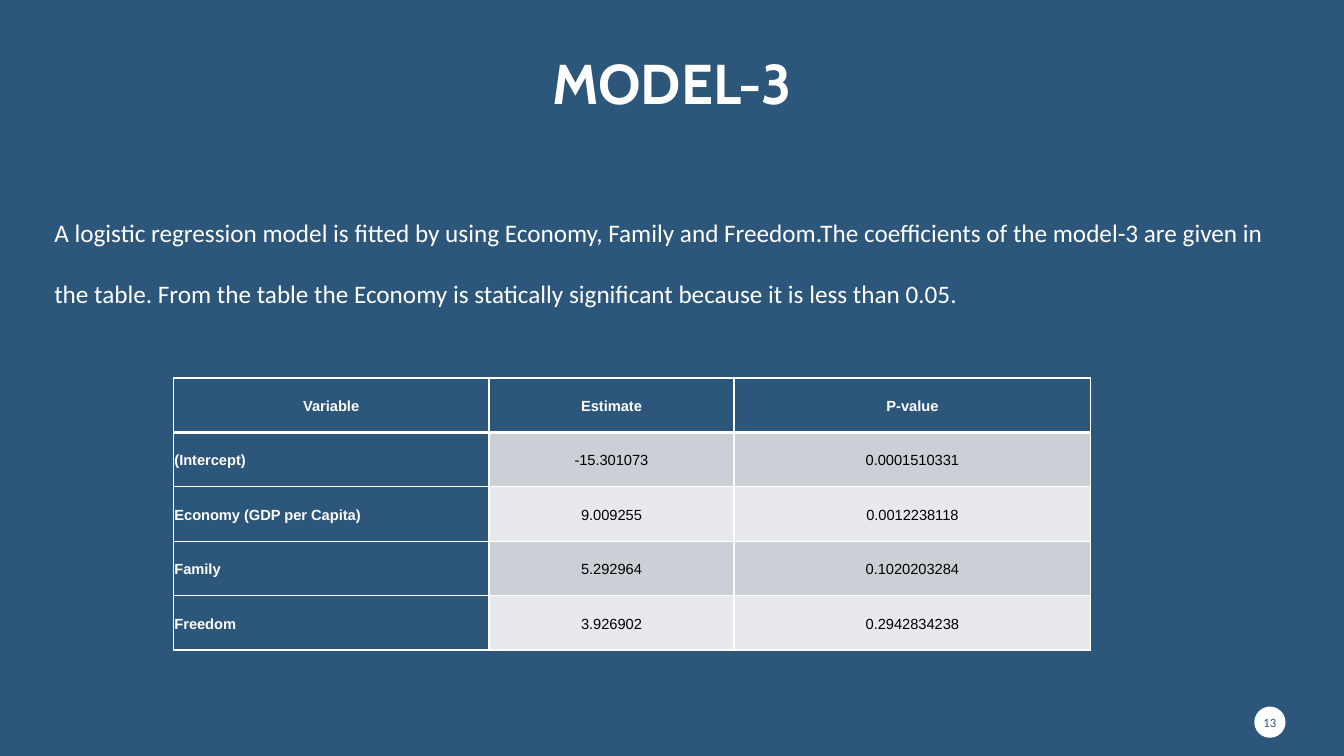
from dataclasses import dataclass

from lxml import etree
from pptx import Presentation
from pptx import util as u
from pptx.dml import color
from pptx.enum import shapes, text
from pptx.oxml import ns

SCALE = 9144


@dataclass(frozen=True)
class Theme:
    navy: str = "2C567A"
    white: str = "FFFFFF"
    black: str = "000000"
    dark: str = "CBD0D6"
    light: str = "E7E9EC"
    title: float = 40
    body: float = 18
    cell: float = 10.5
    page: float = 9


@dataclass(frozen=True)
class Box:
    left: int
    top: int
    width: int
    height: int

    def emu(self) -> tuple:
        return tuple(px(n) for n in (self.left, self.top, self.width, self.height))


@dataclass(frozen=True)
class Style:
    font: str
    size: float
    tint: str
    bold: bool = False
    align: text.PP_ALIGN = text.PP_ALIGN.LEFT
    space: float = 1.0


THEME = Theme()
CENTER = text.PP_ALIGN.CENTER
TITLE = Style("Cabin", THEME.title, THEME.white, True, CENTER, 0.9)
BODY = Style("Calibri", THEME.body, THEME.white, space=2.0)
PAGE = Style("Calibri", THEME.page, THEME.navy, align=CENTER)
HEAD = Style("Arial", THEME.cell, THEME.white, True, CENTER, 1.15)
LABEL = Style("Arial", THEME.cell, THEME.white, True, space=1.15)
VALUE = Style("Arial", THEME.cell, THEME.black, False, CENTER, 1.15)

COLS = (313, 243, 354)
ROW = 54
ROWS = (
    ("Variable", "Estimate", "P-value"),
    ("(Intercept)", "-15.301073", "0.0001510331"),
    ("Economy (GDP per Capita)", "9.009255", "0.0012238118"),
    ("Family", "5.292964", "0.1020203284"),
    ("Freedom", "3.926902", "0.2942834238"),
)
CLAIM = (
    "A logistic regression model is fitted by using Economy, Family and "
    "Freedom.The coefficients of the model-3 are given in the table. From the "
    "table the Economy is statically significant because it is less than 0.05."
)


def px(n: int) -> u.Emu:
    return u.Emu(n * SCALE)


def rgb(tint: str) -> color.RGBColor:
    return color.RGBColor.from_string(tint)


def paint(fill, tint: str) -> None:
    fill.solid()
    fill.fore_color.rgb = rgb(tint)


def write(frame, words: str, style: Style) -> None:
    para = frame.paragraphs[0]
    para.alignment = style.align
    para.line_spacing = style.space
    para.space_before = u.Pt(0)
    run = para.add_run()
    run.text = words
    run.font.name = style.font
    run.font.size = u.Pt(style.size)
    run.font.bold = style.bold
    run.font.color.rgb = rgb(style.tint)


def inset(item, side: int, edge: int) -> None:
    item.margin_left = item.margin_right = px(side)
    item.margin_top = item.margin_bottom = px(edge)


def edge(cell, side: str, points: int) -> None:
    props = cell._tc.get_or_add_tcPr()
    line = etree.SubElement(props, ns.qn(f"a:ln{side}"), w=str(u.Pt(points)))
    fill = etree.SubElement(line, ns.qn("a:solidFill"))
    etree.SubElement(fill, ns.qn("a:srgbClr"), val=THEME.white)


def add_title(slide) -> None:
    title = slide.shapes.title
    title.left, title.top, title.width, title.height = Box(125, 49, 1083, 72).emu()
    frame = title.text_frame
    frame.word_wrap = True
    frame.auto_size = text.MSO_AUTO_SIZE.NONE
    frame.vertical_anchor = text.MSO_ANCHOR.BOTTOM
    inset(frame, 10, 5)
    write(frame, "MODEL-3", TITLE)


def add_body(slide) -> None:
    frame = slide.shapes.add_textbox(*Box(44, 181, 1230, 158).emu()).text_frame
    frame.word_wrap = True
    inset(frame, 10, 5)
    write(frame, CLAIM, BODY)


def add_page(slide) -> None:
    disc = slide.shapes.add_shape(shapes.MSO_SHAPE.OVAL, *Box(1244, 701, 31, 31).emu())
    disc.shadow.inherit = False
    paint(disc.fill, THEME.white)
    disc.line.fill.background()
    frame = disc.text_frame
    frame.word_wrap = False
    frame.vertical_anchor = text.MSO_ANCHOR.MIDDLE
    inset(frame, 0, 0)
    write(frame, "13", PAGE)


def fill_cell(cell, words: str, row: int, col: int) -> None:
    cell.vertical_anchor = text.MSO_ANCHOR.MIDDLE
    inset(cell, 1, 1)
    edge(cell, "L", 1)
    edge(cell, "R", 1)
    edge(cell, "T", 3 if row == 1 else 1)
    edge(cell, "B", 3 if row == 0 else 1)
    if row == 0:
        style, tint = HEAD, THEME.navy
    elif col == 0:
        style, tint = LABEL, THEME.navy
    else:
        style, tint = VALUE, THEME.dark if row % 2 else THEME.light
    paint(cell.fill, tint)
    write(cell.text_frame, words, style)


def add_grid(slide) -> None:
    box = Box(172, 375, sum(COLS), ROW * len(ROWS))
    grid = slide.shapes.add_table(len(ROWS), len(COLS), *box.emu()).table
    for col, width in zip(grid.columns, COLS):
        col.width = px(width)
    for r, row in enumerate(ROWS):
        grid.rows[r].height = px(ROW)
        for c, words in enumerate(row):
            fill_cell(grid.cell(r, c), words, r, c)


def main() -> None:
    deck = Presentation()
    deck.slide_width, deck.slide_height = px(1333), px(750)
    slide = deck.slides.add_slide(deck.slide_layouts.get_by_name("Title Only"))
    paint(slide.background.fill, THEME.navy)
    add_title(slide)
    add_body(slide)
    add_grid(slide)
    add_page(slide)
    deck.save("out.pptx")


if __name__ == "__main__":
    main()
